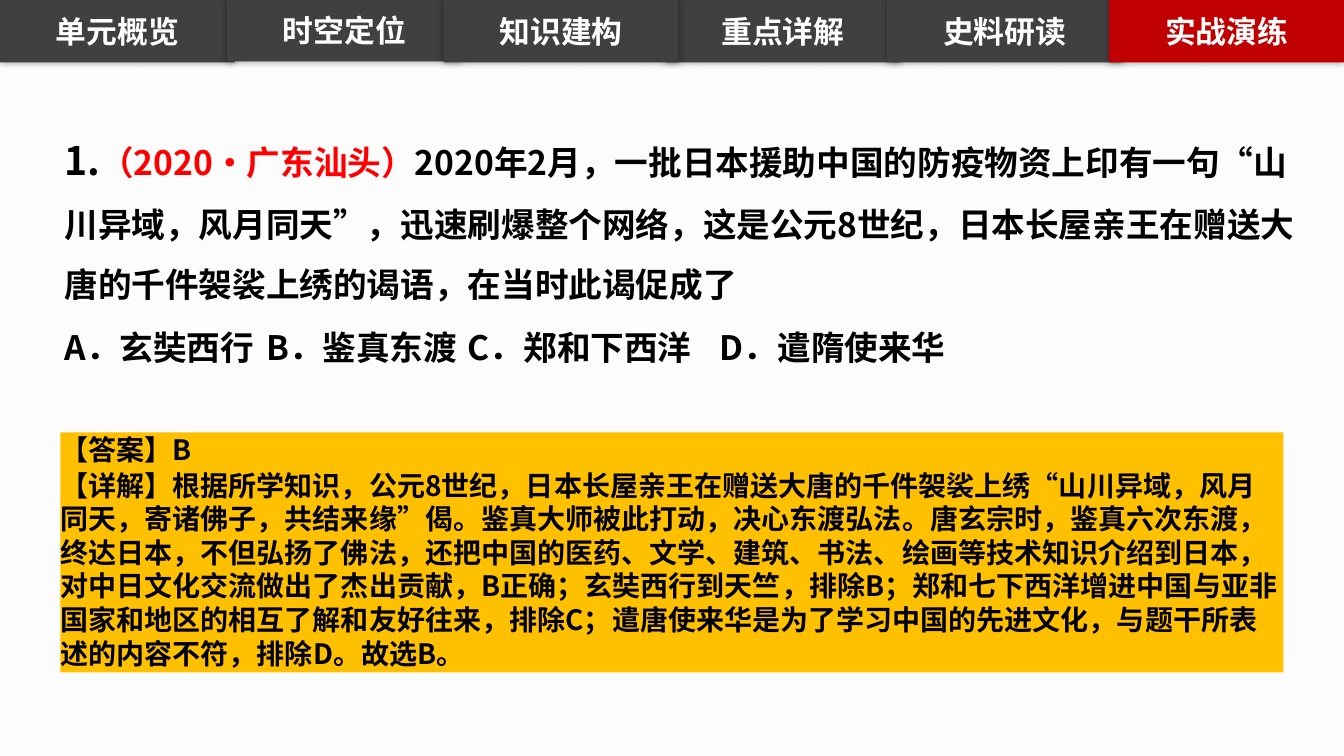
from dataclasses import dataclass

from lxml import etree
from pptx import Presentation
from pptx.dml.color import RGBColor
from pptx.enum.lang import MSO_LANGUAGE_ID
from pptx.enum.shapes import MSO_SHAPE
from pptx.enum.text import MSO_ANCHOR, MSO_AUTO_SIZE, PP_ALIGN
from pptx.oxml.ns import qn
from pptx.util import Pt

PX = 9144  # EMU per px, 100 px to the inch
FONT_NAME = "Noto Sans CJK SC"
WHITE = RGBColor(0xFF, 0xFF, 0xFF)
BLACK = RGBColor(0x00, 0x00, 0x00)
RED = RGBColor(0xFF, 0x00, 0x00)
DARK_GRAY = RGBColor(0x40, 0x40, 0x40)
DARK_RED = RGBColor(0xC0, 0x00, 0x00)
AMBER = RGBColor(0xFF, 0xC0, 0x00)
PAPER = RGBColor(0xFC, 0xFC, 0xFD)


@dataclass(frozen=True)
class Tab:
    label: str
    left: int
    top: int = 0
    fill: RGBColor = DARK_GRAY


@dataclass(frozen=True)
class Span:
    text: str
    size: int | None = None
    color: RGBColor | None = None


# Listed from back to front, as the tabs overlap
TABS = [
    Tab("重点详解", 660),
    Tab("史料研读", 880),
    Tab("实战演练", 1100, fill=DARK_RED),
    Tab("单元概览", 0),
    Tab("时空定位", 225, top=-1),
    Tab("知识建构", 440),
]
TAB_WIDTH, TAB_HEIGHT = 233, 62

QUESTION = [
    [
        Span("1.", size=28),
        Span("（2020·广东汕头）", color=RED),
        Span("2020年2月，一批日本援助中国的防疫物资上印有一句“山川异域，风月同天”，"
             "迅速刷爆整个网络，这是公元8世纪，日本长屋亲王在赠送大唐的千件袈裟上绣的谒语，"
             "在当时此谒促成了"),
    ],
    [Span("A．玄奘西行\tB．鉴真东渡\tC．郑和下西洋\tD．遣隋使来华")],
]
ANSWER = [
    [Span("【答案】B")],
    [Span("【详解】根据所学知识，公元8世纪，日本长屋亲王在赠送大唐的千件袈裟上绣"
          "“山川异域，风月同天，寄诸佛子，共结来缘”偈。鉴真大师被此打动，决心东渡弘法。"
          "唐玄宗时，鉴真六次东渡，终达日本，不但弘扬了佛法，还把中国的医药、文学、建筑、"
          "书法、绘画等技术知识介绍到日本，对中日文化交流做出了杰出贡献，B正确；"
          "玄奘西行到天竺，排除B；郑和七下西洋增进中国与亚非国家和地区的相互了解和友好往来，"
          "排除C；遣唐使来华是为了学习中国的先进文化，与题干所表述的内容不符，排除D。故选B。")],
]


def style_paragraph(paragraph, size: int, color: RGBColor) -> None:
    font = paragraph.font
    font.size = Pt(size)
    font.bold = True
    font.name = FONT_NAME
    font.language_id = MSO_LANGUAGE_ID.SIMPLIFIED_CHINESE
    font.color.rgb = color
    properties = paragraph._p.pPr.find(qn("a:defRPr"))
    etree.SubElement(properties, qn("a:ea"), typeface=FONT_NAME)


def add_rectangle(slide, left: int, top: int, width: int, height: int, fill: RGBColor):
    shape = slide.shapes.add_shape(
        MSO_SHAPE.RECTANGLE, left * PX, top * PX, width * PX, height * PX)
    shape.shadow.inherit = False
    shape.fill.solid()
    shape.fill.fore_color.rgb = fill
    shape.line.fill.background()
    return shape


def add_soft_shadow(shape) -> None:
    effects = shape._element.spPr.find(qn("a:effectLst"))
    shadow = etree.SubElement(
        effects, qn("a:outerShdw"), blurRad=str(Pt(5)), dist="0", dir="0",
        algn="ctr", rotWithShape="0")
    color = etree.SubElement(shadow, qn("a:srgbClr"), val="000000")
    etree.SubElement(color, qn("a:alpha"), val="40000")


def add_tab(slide, tab: Tab) -> None:
    shape = add_rectangle(slide, tab.left, tab.top, TAB_WIDTH, TAB_HEIGHT, tab.fill)
    add_soft_shadow(shape)
    shape.text_frame.vertical_anchor = MSO_ANCHOR.MIDDLE
    paragraph = shape.text_frame.paragraphs[0]
    paragraph.text = tab.label
    paragraph.alignment = PP_ALIGN.CENTER
    style_paragraph(paragraph, 22, WHITE)


def fill_text(shape, paragraphs: list[list[Span]], size: int,
              line_spacing: float = 1.0) -> None:
    frame = shape.text_frame
    frame.word_wrap = True
    frame.auto_size = MSO_AUTO_SIZE.SHAPE_TO_FIT_TEXT
    frame.vertical_anchor = MSO_ANCHOR.TOP
    frame.margin_left = frame.margin_right = frame.margin_top = frame.margin_bottom = 0
    for index, spans in enumerate(paragraphs):
        paragraph = frame.add_paragraph() if index else frame.paragraphs[0]
        paragraph.alignment = PP_ALIGN.LEFT
        paragraph.line_spacing = line_spacing
        if index:
            paragraph.space_before = Pt(1.4)
        style_paragraph(paragraph, size, BLACK)
        for span in spans:
            run = paragraph.add_run()
            run.text = span.text
            if span.size:
                run.font.size = Pt(span.size)
            if span.color:
                run.font.color.rgb = span.color


def main() -> None:
    presentation = Presentation()
    presentation.slide_width = 1333 * PX
    presentation.slide_height = 750 * PX
    slide = presentation.slides.add_slide(presentation.slide_layouts[6])
    slide.background.fill.solid()
    slide.background.fill.fore_color.rgb = PAPER

    # Navigation bar
    for tab in TABS:
        add_tab(slide, tab)

    # Question with its options
    question = slide.shapes.add_textbox(64 * PX, 112 * PX, 1243 * PX, 254 * PX)
    fill_text(question, QUESTION, 24, line_spacing=1.5)

    # Answer and explanation
    answer = add_rectangle(slide, 60, 429, 1213, 238, AMBER)
    fill_text(answer, ANSWER, 20)

    presentation.save("out.pptx")


if __name__ == "__main__":
    main()
